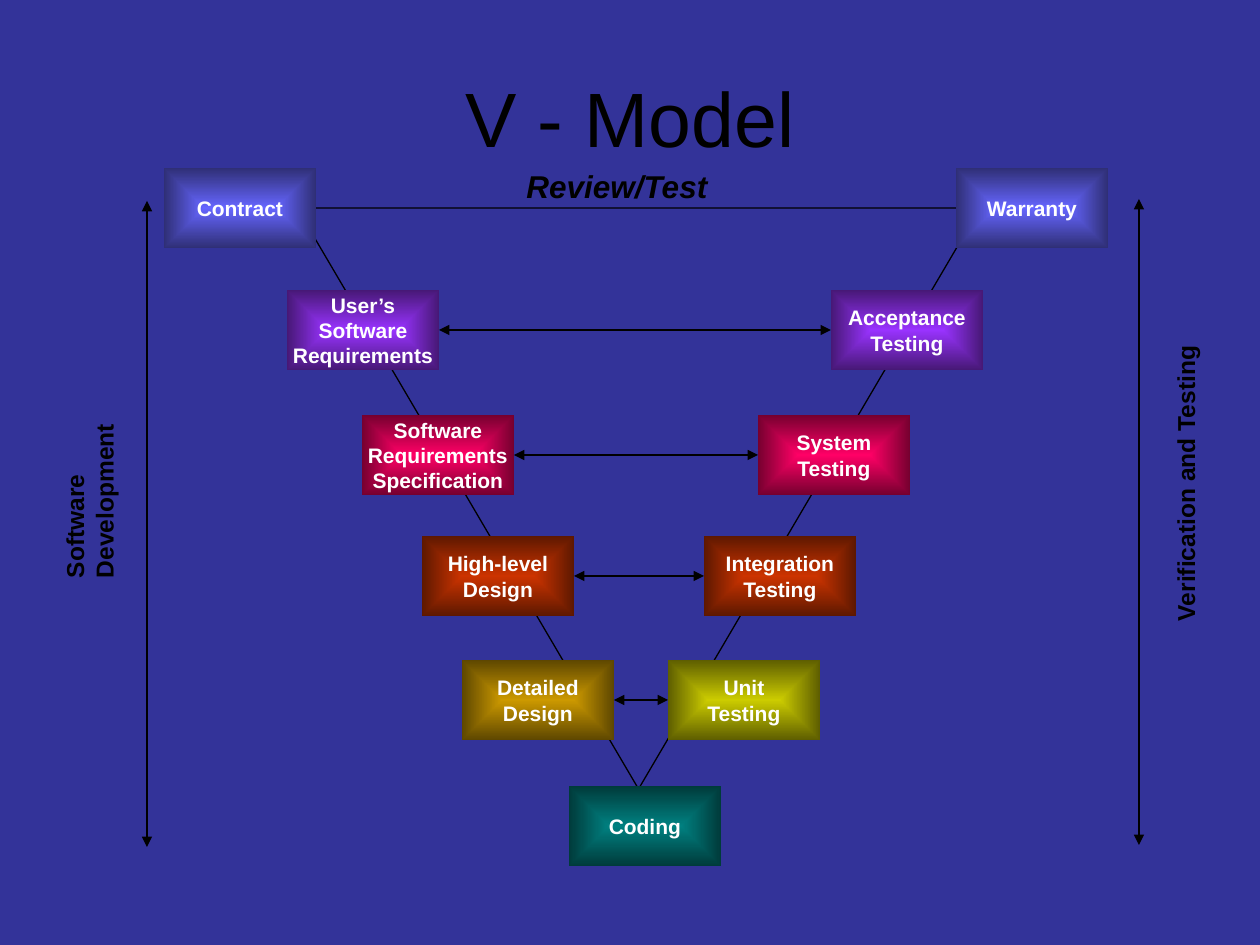
import copy

import lxml.etree
import pptx
import pptx.dml.color
import pptx.enum.shapes
import pptx.enum.text
import pptx.oxml.ns
import pptx.util

RGB = pptx.dml.color.RGBColor
ALIGN = pptx.enum.text.PP_ALIGN
ANCHOR = pptx.enum.text.MSO_ANCHOR
SHAPES = pptx.enum.shapes.MSO_SHAPE
qn = pptx.oxml.ns.qn

EMU_PER_PX = 914400 / 126
BACKGROUND = RGB(0x33, 0x33, 0x99)
BLACK = RGB(0, 0, 0)
WHITE = RGB(0xFF, 0xFF, 0xFF)
BLUE = RGB(0x66, 0x66, 0xFF), RGB(0x2F, 0x2F, 0x76)
PURPLE = RGB(0x99, 0x33, 0xFF), RGB(0x47, 0x18, 0x76)
PINK = RGB(0xFF, 0x00, 0x66), RGB(0x76, 0x00, 0x2F)
RUST = RGB(0xCC, 0x33, 0x00), RGB(0x5E, 0x18, 0x00)
GOLD = RGB(0xCC, 0x99, 0x00), RGB(0x5E, 0x47, 0x00)
YELLOW = RGB(0xCC, 0xCC, 0x00), RGB(0x5E, 0x5E, 0x00)
TEAL = RGB(0x00, 0x80, 0x80), RGB(0x00, 0x3B, 0x3B)

BOX_WIDTH, BOX_HEIGHT = 152, 80

LEVELS = [
    (168, (164, "Contract", BLUE), (956, "Warranty", BLUE)),
    (290, (287, "User’s\nSoftware\nRequirements", PURPLE), (831, "Acceptance\nTesting", PURPLE)),
    (415, (362, "Software\nRequirements\nSpecification", PINK), (758, "System\nTesting", PINK)),
    (536, (422, "High-level\nDesign", RUST), (704, "Integration\nTesting", RUST)),
    (660, (462, "Detailed\nDesign", GOLD), (668, "Unit\nTesting", YELLOW)),
]


def px(*lengths):
    return [pptx.util.Emu(round(length * EMU_PER_PX)) for length in lengths]


def write_text(frame, text, color, size, align, **font_values):
    para = frame.paragraphs[0]
    para.text = text
    para.alignment = align
    values = {"name": "Arial", "size": pptx.util.Pt(size), **font_values}
    for span in para.runs:
        for name, value in values.items():
            setattr(span.font, name, value)
        span.font.color.rgb = color
    for line_break in para._p.findall(qn("a:br")):
        line_break.append(copy.deepcopy(para.runs[0]._r.rPr))


def add_title(page, text):
    title = page.shapes.title
    title.left, title.top, title.width, title.height = px(63, 38, 1134, 157)
    title.text_frame.vertical_anchor = ANCHOR.MIDDLE
    write_text(title.text_frame, text, BLACK, 44, ALIGN.CENTER)


def add_v_outline(page):
    outline = page.shapes.add_shape(SHAPES.ISOSCELES_TRIANGLE, *px(297, 208, 683, 581))
    outline.rotation = 180
    outline.shadow.inherit = False
    outline.fill.background()
    outline.line.color.rgb = BLACK
    outline.line.width = pptx.util.Pt(0.75)


def fill_from_center(box, center, edge):
    box.fill.gradient()
    gradient = box._element.spPr.find(qn("a:gradFill"))
    for child in list(gradient):
        gradient.remove(child)
    stops = lxml.etree.SubElement(gradient, qn("a:gsLst"))
    for position, color in ((0, center), (100000, edge)):
        stop = lxml.etree.SubElement(stops, qn("a:gs"), pos=str(position))
        lxml.etree.SubElement(stop, qn("a:srgbClr"), val=str(color))
    shading = lxml.etree.SubElement(gradient, qn("a:path"), {"path": "rect"})
    sides = dict.fromkeys("ltrb", "50000")
    lxml.etree.SubElement(shading, qn("a:fillToRect"), sides)


def add_phase(page, left, top, text, colors):
    box = page.shapes.add_shape(SHAPES.RECTANGLE, *px(left, top, BOX_WIDTH, BOX_HEIGHT))
    box.shadow.inherit = False
    box.line.fill.background()
    fill_from_center(box, *colors)
    box.text_frame.word_wrap = False
    box.text_frame.vertical_anchor = ANCHOR.MIDDLE
    write_text(box.text_frame, text, WHITE, 12, ALIGN.CENTER, bold=True)
    return box


def add_double_arrow(page, *ends):
    arrow = page.shapes.add_connector(pptx.enum.shapes.MSO_CONNECTOR.STRAIGHT, *px(*ends))
    arrow.line.color.rgb = BLACK
    arrow.line.width = pptx.util.Pt(0.75)
    line = arrow.line._get_or_add_ln()
    for end in ("a:headEnd", "a:tailEnd"):
        lxml.etree.SubElement(line, qn(end), type="triangle")
    lxml.etree.SubElement(arrow._element.spPr, qn("a:effectLst"))
    return arrow


def link_phases(page, first, second):
    arrow = add_double_arrow(page, 0, 0, 0, 0)
    arrow.begin_connect(first, 3)
    arrow.end_connect(second, 1)


def add_label(page, bounds, text, size, rotation=0, **font_values):
    box = page.shapes.add_textbox(*px(*bounds))
    box.rotation = rotation
    box.text_frame.word_wrap = True
    box.text_frame.margin_right = 0
    write_text(box.text_frame, text, BLACK, size, ALIGN.LEFT, bold=True, **font_values)


def main():
    deck = pptx.Presentation()
    deck.slide_width, deck.slide_height = px(1260, 945)
    page = deck.slides.add_slide(deck.slide_layouts[5])
    page.background.fill.solid()
    page.background.fill.fore_color.rgb = BACKGROUND

    add_title(page, "V - Model")
    add_v_outline(page)
    pairs = [
        [add_phase(page, left, top, text, colors) for left, text, colors in phases]
        for top, *phases in LEVELS
    ]
    add_phase(page, 569, 786, "Coding", TEAL)
    for development, testing in pairs[1:]:
        link_phases(page, development, testing)

    add_label(page, (514, 161, 207, 50), "Review/Test", 18, italic=True)
    add_double_arrow(page, 147, 201, 147, 847)
    add_label(page, (0, 465, 179, 72), "Software\nDevelopment", 14, 270)
    add_double_arrow(page, 1139, 199, 1139, 845)
    add_label(page, (1034, 460, 304, 43), "Verification and Testing", 14, 270)
    deck.save("out.pptx")


if __name__ == "__main__":
    main()
